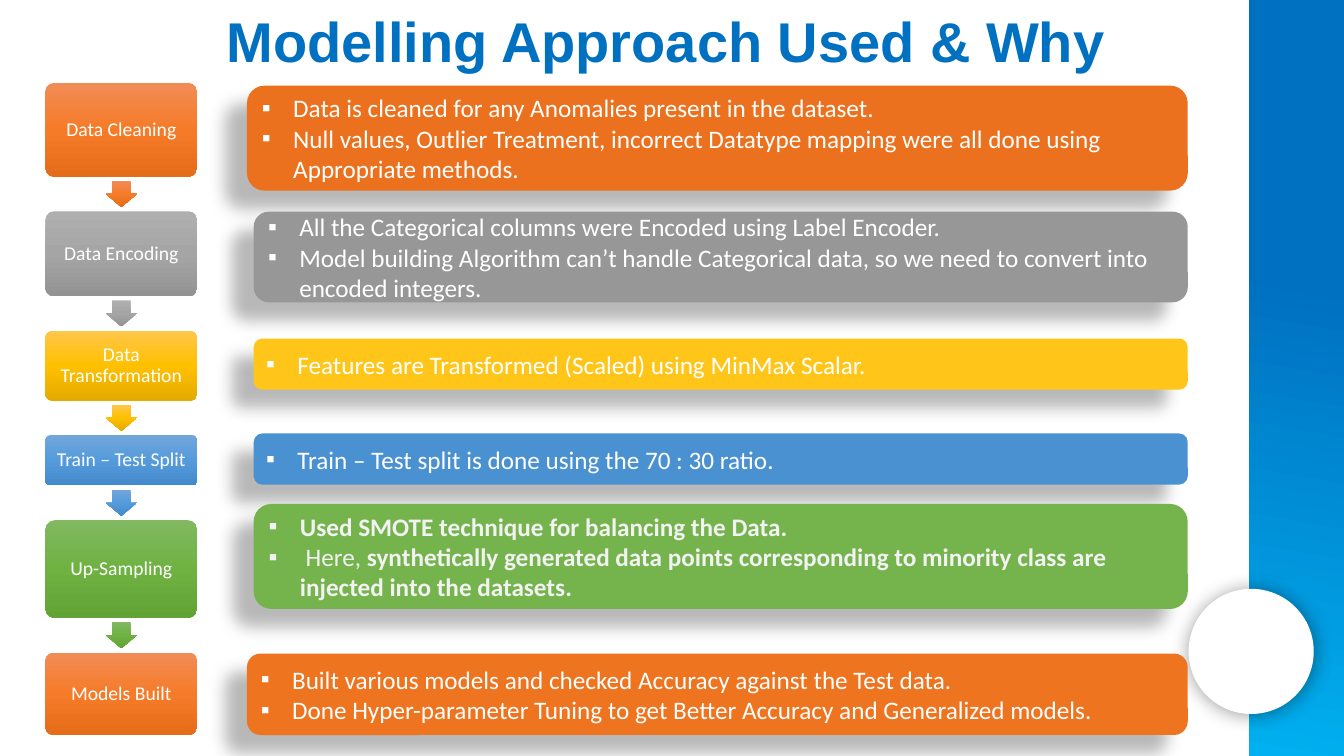
from dataclasses import dataclass
from typing import NamedTuple

from lxml.etree import SubElement as Sub
from pptx import Presentation
from pptx.dml.color import RGBColor
from pptx.enum.shapes import MSO_SHAPE as Kind
from pptx.enum.text import MSO_ANCHOR as Anchor, MSO_AUTO_SIZE as Fit, PP_ALIGN as Align
from pptx.oxml.ns import qn
from pptx.shapes.autoshape import Shape
from pptx.slide import Slide
from pptx.util import Inches, Pt

WIDE, HIGH = Inches(13.33), Inches(7.5)
COLS, ROWS = 160, 90
WHITE = "FFFFFF"
TILE_LEFT, TILE_WIDE, TILE_TOP, GAP = 5.4, 18.1, 9.84, 4.12
HEAD_WIDE, HEAD_HIGH = 3.7, 3.1
CARD_END = 141.4


class Box(NamedTuple):
    left: float
    top: float
    wide: float
    high: float


class Shade(NamedTuple):
    alpha: int
    blur: float
    dist: float
    angle: int


class Part(NamedTuple):
    text: str
    bold: bool = False


Tones = dict[int, str]
Lines = list[list[Part]]


@dataclass
class Card:
    left: float
    top: float
    high: float
    fill: str
    lines: Lines
    ink: str = WHITE


@dataclass
class Step:
    label: str
    high: float
    tones: Tones
    card: Card


ORANGE = {0: "F18C57", 50: "F67B28", 100: "E56C19"}
GRAY = {0: "AFAFAF", 50: "A5A5A5", 100: "939393"}
GOLD = {0: "FFC64B", 50: "FFC000", 100: "E3AB00"}
BLUE = {0: "71A6DB", 50: "559BDB", 100: "448ACA"}
GREEN = {0: "81B861", 50: "6FB242", 100: "62A336"}
BAND = {37: "0070C0", 100: "00B0F0"}
DROP = Shade(28, 11.8, 19.7, 141)
GLOW = Shade(40, 14, 1, 43)

STEPS = [
    Step("Data Cleaning", 11.2, ORANGE, Card(29.4, 10.2, 12.5, "EC711E", [
        [Part("Data is cleaned for any Anomalies present in the dataset.")],
        [Part("Null values, Outlier Treatment, incorrect Datatype mapping were "
              "all done using Appropriate methods.")],
    ])),
    Step("Data Encoding", 10.1, GRAY, Card(30.2, 25.2, 10.8, "979797", [
        [Part("All the Categorical columns were Encoded using Label Encoder.")],
        [Part("Model building Algorithm can’t handle Categorical data, so we "
              "need to convert into encoded integers.")],
    ])),
    Step("Data Transformation", 8.3, GOLD, Card(30.2, 40.3, 6.1, "FFC619", [
        [Part("Features are Transformed (Scaled) using MinMax Scalar.")],
    ])),
    Step("Train – Test Split", 6, BLUE, Card(30.2, 51.6, 6.1, "4A91D1", [
        [Part("Train – Test split is done using the 70 : 30 ratio.")],
    ])),
    Step("Up-Sampling", 11.65, GREEN, Card(30.2, 60, 12.5, "75B44D", [
        [Part("Used SMOTE technique for balancing the Data.", True)],
        [Part(" Here, "),
         Part("synthetically generated data points corresponding to minority "
              "class are injected into the datasets.", True)],
    ], "F2F2F2")),
    Step("Models Built", 9.8, ORANGE, Card(29.4, 77.8, 9.7, "EE7420", [
        [Part("Built various models and checked Accuracy against the Test data.")],
        [Part("Done Hyper-parameter Tuning to get Better Accuracy and "
              "Generalized models.")],
    ])),
]


def color(code: str) -> RGBColor:
    return RGBColor.from_string(code)


def place(shape: Shape, box: Box) -> None:
    shape.left, shape.width = (round(n * WIDE / COLS) for n in (box.left, box.wide))
    shape.top, shape.height = (round(n * HIGH / ROWS) for n in (box.top, box.high))


def blend(shape: Shape, tones: Tones, angle: int) -> None:
    shape.fill.gradient()
    shape.fill.gradient_angle = 360 - angle
    stops = shape._element.spPr.find(".//" + qn("a:gsLst"))
    stops.clear()
    for share, code in tones.items():
        stop = Sub(stops, qn("a:gs"), pos=str(share * 1000))
        Sub(stop, qn("a:srgbClr"), val=code)


def cast(shape: Shape, shade: Shade) -> None:
    group = shape._element.spPr.find(qn("a:effectLst"))
    outer = Sub(group, qn("a:outerShdw"), blurRad=str(Pt(shade.blur)),
                dist=str(Pt(shade.dist)), dir=str(shade.angle * 60000),
                algn="ctr", rotWithShape="0")
    tint = Sub(outer, qn("a:srgbClr"), val="000000")
    Sub(tint, qn("a:alpha"), val=str(shade.alpha * 1000))


def draw(slide: Slide, kind: Kind, box: Box, fill: str | Tones,
         angle: int = 90, shade: Shade | None = None) -> Shape:
    shape = slide.shapes.add_shape(kind, 0, 0, 0, 0)
    place(shape, box)
    shape.shadow.inherit = False
    shape.line.fill.background()
    if isinstance(fill, str):
        shape.fill.solid()
        shape.fill.fore_color.rgb = color(fill)
    else:
        blend(shape, fill, angle)
    if shade:
        cast(shape, shade)
    return shape


def style(para, size: int, ink: str, name: str = "Calibri", bold: bool = False) -> None:
    font = para.font
    font.name, font.size, font.bold = name, Pt(size), bold
    font.color.rgb = color(ink)


def add_title(slide: Slide) -> None:
    title = slide.shapes.title
    place(title, Box(20.2, 0.2, 119.6, 9.2))
    frame = title.text_frame
    frame.text = "Modelling Approach Used & Why"
    frame.auto_size, frame.vertical_anchor = Fit.NONE, Anchor.TOP
    frame.margin_left = round(6.8 * WIDE / COLS)
    para = frame.paragraphs[0]
    para.alignment = Align.LEFT
    style(para, 40, "0070C0", "Arial", True)


def add_tile(slide: Slide, step: Step, top: float) -> None:
    tile = draw(slide, Kind.ROUNDED_RECTANGLE,
                Box(TILE_LEFT, top, TILE_WIDE, step.high), step.tones)
    tile.adjustments[0] = 0.1
    frame = tile.text_frame
    frame.word_wrap, frame.vertical_anchor = True, Anchor.MIDDLE
    pad = round(0.72 * WIDE / COLS)
    frame.margin_left = frame.margin_right = pad
    frame.margin_top = frame.margin_bottom = pad
    frame.text = step.label
    para = frame.paragraphs[0]
    para.alignment, para.line_spacing = Align.CENTER, 0.9
    style(para, 14, WHITE)


def add_head(slide: Slide, tones: Tones, top: float) -> None:
    box = Box(TILE_LEFT + (TILE_WIDE - HEAD_WIDE) / 2, top + (GAP - HEAD_HIGH) / 2,
              HEAD_WIDE, HEAD_HIGH)
    head = draw(slide, Kind.DOWN_ARROW, box, tones)
    head.adjustments[0] = 0.6


def add_card(slide: Slide, card: Card) -> None:
    box = Box(card.left, card.top, CARD_END - card.left, card.high)
    shape = draw(slide, Kind.ROUNDED_RECTANGLE, box, card.fill, shade=DROP)
    frame = shape.text_frame
    frame.word_wrap, frame.vertical_anchor = True, Anchor.MIDDLE
    for spot, parts in enumerate(card.lines):
        para = frame.add_paragraph() if spot else frame.paragraphs[0]
        para.alignment = Align.LEFT
        props = para._p.get_or_add_pPr()
        props.set("marL", str(Inches(0.31)))
        props.set("indent", str(-Inches(0.31)))
        Sub(props, qn("a:buFont"), typeface="Arial")
        Sub(props, qn("a:buChar"), char="▪")
        style(para, 18, card.ink, bold=parts[0].bold)
        for part in parts:
            run = para.add_run()
            run.text = part.text
            if part.bold != parts[0].bold:
                run.font.bold = part.bold


def main() -> None:
    deck = Presentation()
    deck.slide_width, deck.slide_height = WIDE, HIGH
    slide = deck.slides.add_slide(deck.slide_layouts[5])
    draw(slide, Kind.RECTANGLE, Box(148.7, 0, 11.3, ROWS), BAND, 100)
    draw(slide, Kind.OVAL, Box(141.5, 70.1, 14.9, 14.9), WHITE, shade=GLOW)
    add_title(slide)
    top = TILE_TOP
    for step in STEPS:
        add_tile(slide, step, top)
        top += step.high
        if step is not STEPS[-1]:
            add_head(slide, step.tones, top)
        top += GAP
    for step in STEPS:
        add_card(slide, step.card)
    deck.save("out.pptx")


if __name__ == "__main__":
    main()
